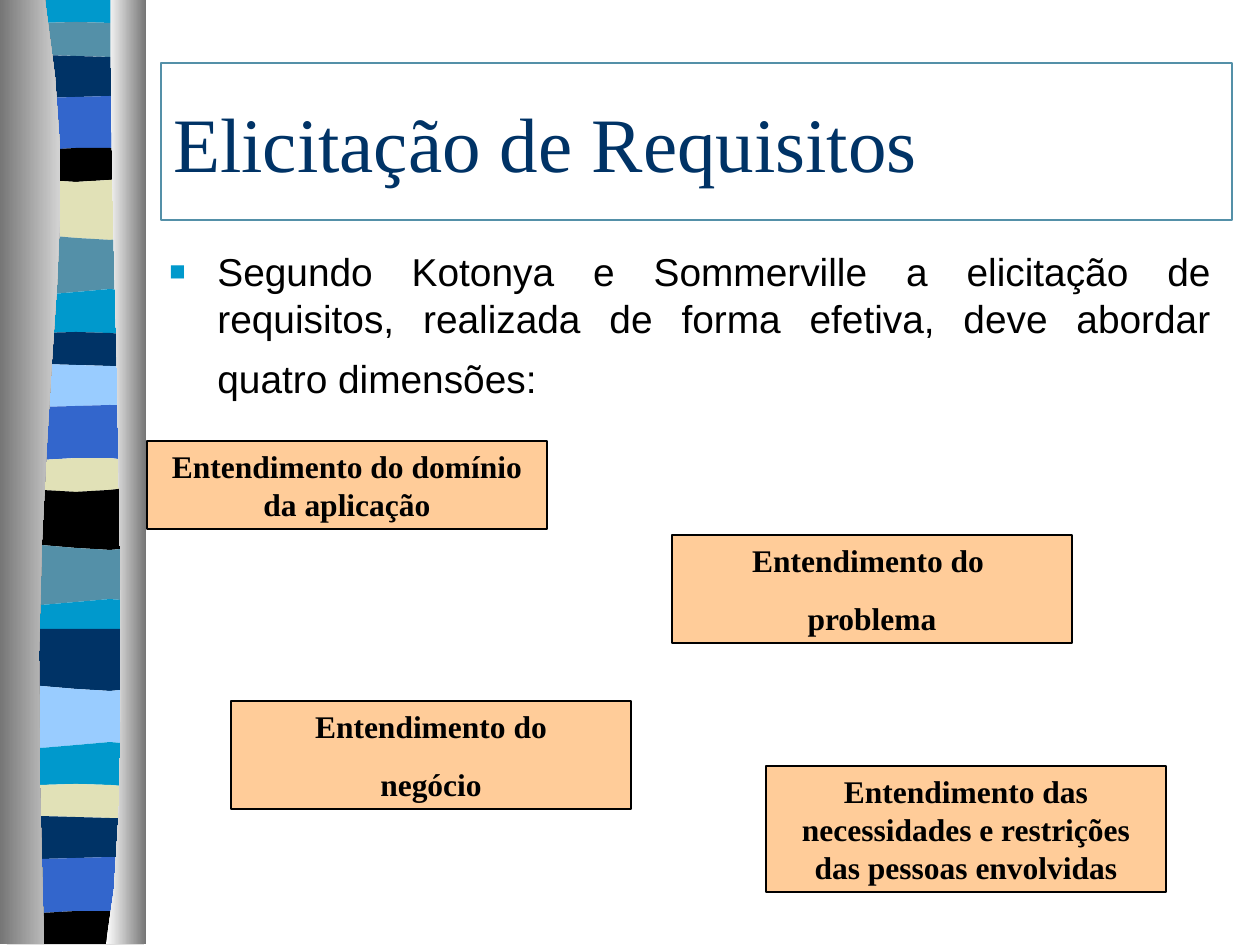
from lxml.etree import SubElement
from pptx import Presentation
from pptx.dml.color import RGBColor
from pptx.enum.shapes import MSO_SHAPE
from pptx.enum.text import MSO_ANCHOR, PP_ALIGN
from pptx.oxml.ns import qn
from pptx.util import Emu, Pt

PX = 914400 / 126
SLIDE_WIDTH, SLIDE_HEIGHT = 1260, 945

BLACK = RGBColor(0x00, 0x00, 0x00)
WHITE = RGBColor(0xFF, 0xFF, 0xFF)
CYAN = RGBColor(0x00, 0x99, 0xCC)
STEEL = RGBColor(0x54, 0x90, 0xA8)
NAVY = RGBColor(0x00, 0x33, 0x66)
BLUE = RGBColor(0x33, 0x66, 0xCC)
LIGHT_BLUE = RGBColor(0x99, 0xCC, 0xFF)
BEIGE = RGBColor(0xE1, 0xE1, 0xB7)
PEACH = RGBColor(0xFF, 0xCC, 0x99)
DARK_GREY = RGBColor(0x76, 0x76, 0x76)
LIGHT_GREY = RGBColor(0xD3, 0xD3, 0xD3)

SERIF, SANS = "Times New Roman", "Arial"

# Vertical offsets of the four control points of a band's top edge
FLAT = (0, 0, 0, 0)
CREST = (0, -6, -5, 0)
RISE = (0, -6, 0, 0)
RIPPLE = (0, 4, -3, 0)
SWELL = (0, -1, -10, 0)
SAG = (0, 8, 8, 0)
WAVE = (0, -8, 10, 0)
COUNTER_WAVE = (0, 10, -10, 0)

BAND_LEFT, BAND_RIGHT = 7, 144
BAND_STEPS, CURTAIN_STEPS = 4, 10
BANDS = [
    (0, FLAT, CYAN), (26, CREST, STEEL), (58, RISE, NAVY),
    (97, RIPPLE, BLUE), (152, SWELL, BLACK), (176, SAG, BEIGE),
    (237, WAVE, STEEL), (292, COUNTER_WAVE, CYAN), (336, CREST, NAVY),
    (367, RISE, LIGHT_BLUE), (406, RIPPLE, BLUE), (462, SWELL, BEIGE),
    (486, SAG, BLACK), (547, WAVE, STEEL), (602, COUNTER_WAVE, CYAN),
    (629, FLAT, NAVY), (688, WAVE, LIGHT_BLUE), (745, COUNTER_WAVE, CYAN),
    (788, CREST, BEIGE), (819, RISE, NAVY), (858, RIPPLE, BLUE),
    (915, SWELL, BLACK), (944, FLAT, None),
]

DIMENSIONS = [
    (147, 441, 88, ["Entendimento do domínio da aplicação"]),
    (672, 535, 108, ["Entendimento do ", "problema"]),
    (231, 701, 108, ["Entendimento do", "negócio"]),
    (766, 766, 126,
     ["Entendimento das necessidades e restrições das pessoas envolvidas"]),
]


def px(*lengths):
    return [Emu(round(length * PX)) for length in lengths]


def bezier(start, control_1, control_2, end, steps):
    """Return points along a cubic curve."""
    points = []
    for step in range(steps + 1):
        t = step / steps
        weights = ((1 - t) ** 3, 3 * t * (1 - t) ** 2, 3 * t * t * (1 - t), t ** 3)
        points.append(tuple(
            sum(weight * value for weight, value in zip(weights, values))
            for values in zip(start, control_1, control_2, end)))
    return points


def add_outline(slide, points):
    builder = slide.shapes.build_freeform(*points[0], scale=PX)
    builder.add_line_segments(points[1:], close=True)
    shape = builder.convert_to_shape()
    shape.shadow.inherit = False
    shape.line.fill.background()
    return shape


def band_edge(top, offsets):
    if offsets == FLAT:
        return [(BAND_LEFT, top), (BAND_RIGHT, top)]
    third = (BAND_RIGHT - BAND_LEFT) / 3
    controls = [(BAND_LEFT + third * index, top + offset)
                for index, offset in enumerate(offsets)]
    return bezier(*controls, BAND_STEPS)


def add_bands(slide):
    for (top, offsets, color), (bottom, next_offsets, _) in zip(BANDS, BANDS[1:]):
        points = band_edge(top, offsets) + band_edge(bottom, next_offsets)[::-1]
        shape = add_outline(slide, points)
        shape.fill.solid()
        shape.fill.fore_color.rgb = color


def add_curtain(slide, curve, outer_x, left_color, right_color):
    """Add a shaded side piece between a curve and a straight outer edge."""
    inner_edge = bezier(*curve, CURTAIN_STEPS)
    shape = add_outline(slide, inner_edge + [(outer_x, 944), (outer_x, 0)])
    shape.fill.gradient()
    shape.fill.gradient_angle = 0
    for stop, position, color in zip(shape.fill.gradient_stops, (0, 1),
                                     (left_color, right_color)):
        stop.position = position
        stop.color.rgb = color


def add_box(slide, left, top, width, height, line_color, fill_color=None):
    shape = slide.shapes.add_shape(MSO_SHAPE.RECTANGLE, *px(left, top, width, height))
    shape.shadow.inherit = False
    if fill_color is None:
        shape.fill.background()
    else:
        shape.fill.solid()
        shape.fill.fore_color.rgb = fill_color
    shape.line.color.rgb = line_color
    shape.line.width = Pt(0.75)
    shape.text_frame.word_wrap = True
    return shape


def add_run(paragraph, text, size, font_name, color, bold=False):
    run = paragraph.add_run()
    run.text = text
    run.font.size = Pt(size)
    run.font.name = font_name
    run.font.bold = bold
    run.font.color.rgb = color


def add_title(slide):
    frame = add_box(slide, 161, 63, 1071, 157, STEEL).text_frame
    frame.vertical_anchor = MSO_ANCHOR.MIDDLE
    paragraph = frame.paragraphs[0]
    paragraph.alignment = PP_ALIGN.LEFT
    add_run(paragraph, "Elicitação de Requisitos", 44, SERIF, NAVY)


def set_bullet(paragraph, character, color, percent, indent):
    properties = paragraph._p.get_or_add_pPr()
    properties.set("marL", str(indent))
    properties.set("indent", str(-indent))
    bullet_color = SubElement(properties, qn("a:buClr"))
    SubElement(bullet_color, qn("a:srgbClr"), val=str(color))
    SubElement(properties, qn("a:buSzPct"), val=str(percent * 1000))
    SubElement(properties, qn("a:buFont"), typeface=SANS)
    SubElement(properties, qn("a:buChar"), char=character)


def add_body(slide):
    frame = slide.shapes.add_textbox(*px(157, 242, 1067, 179)).text_frame
    frame.word_wrap = True
    paragraph = frame.paragraphs[0]
    paragraph.alignment = PP_ALIGN.JUSTIFY
    paragraph.space_before = Pt(8)
    set_bullet(paragraph, "■", CYAN, 70, px(48)[0])
    add_run(paragraph, "Segundo Kotonya e Sommerville a elicitação de requisitos, "
            "realizada de forma efetiva, deve abordar quatro dimensões:",
            22.2, SANS, BLACK)
    add_run(paragraph, " ", 29.6, SANS, BLACK)


def add_dimension(slide, left, top, height, lines):
    frame = add_box(slide, left, top, 400, height, BLACK, PEACH).text_frame
    frame.vertical_anchor = MSO_ANCHOR.TOP
    for index, line in enumerate(lines):
        paragraph = frame.add_paragraph() if index else frame.paragraphs[0]
        paragraph.alignment = PP_ALIGN.CENTER
        paragraph.space_before = Pt(11.2)
        add_run(paragraph, line, 18, SERIF, BLACK, bold=True)


def main():
    presentation = Presentation()
    presentation.slide_width, presentation.slide_height = px(SLIDE_WIDTH, SLIDE_HEIGHT)
    slide = presentation.slides.add_slide(presentation.slide_layouts[6])
    add_bands(slide)
    add_curtain(slide, [(45, 0), (89, 273), (21, 373), (44, 944)], 0,
                DARK_GREY, LIGHT_GREY)
    add_curtain(slide, [(111, 0), (106, 158), (140, 814), (106, 944)], 146,
                WHITE, DARK_GREY)
    add_title(slide)
    add_body(slide)
    for dimension in DIMENSIONS:
        add_dimension(slide, *dimension)
    presentation.save("out.pptx")


if __name__ == "__main__":
    main()
